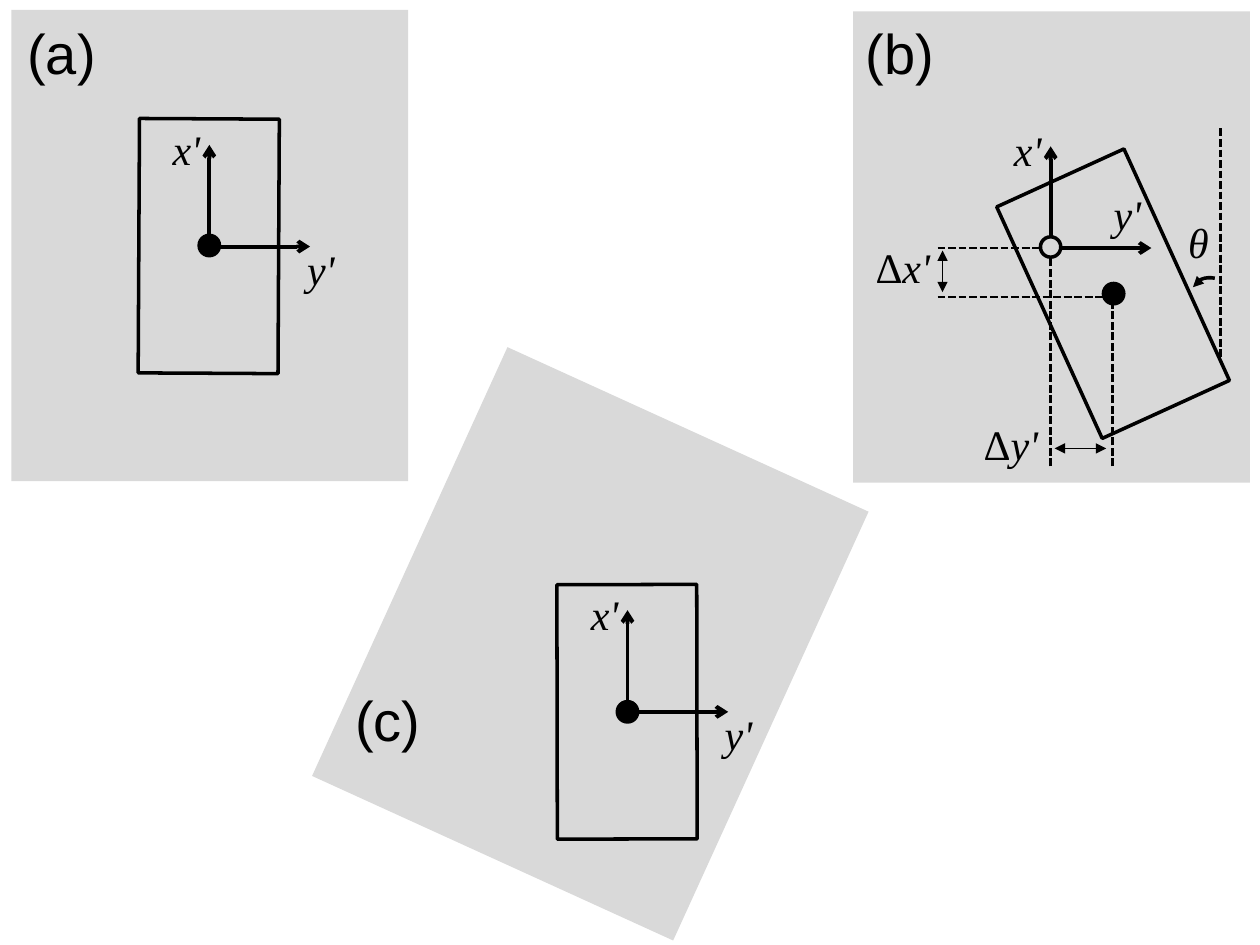
from lxml import etree
from pptx import Presentation
from pptx.dml.color import RGBColor
from pptx.enum.dml import MSO_LINE
from pptx.enum.shapes import MSO_CONNECTOR, MSO_SHAPE
from pptx.enum.text import MSO_AUTO_SIZE
from pptx.oxml.ns import qn
from pptx.util import Cm, Pt

BLACK = RGBColor(0x00, 0x00, 0x00)
GREY = RGBColor(0xD9, 0xD9, 0xD9)
RECTANGLE = MSO_SHAPE.RECTANGLE
OVAL = MSO_SHAPE.OVAL
STRAIGHT = MSO_CONNECTOR.STRAIGHT
DASHED = MSO_LINE.SQUARE_DOT  # written to the file as sysDash

PANEL_SIZE = (8.0, 9.5)
BODY_SIZE = (2.82, 5.13)
DOT_SIZE = (0.41, 0.41)
AXIS_LENGTH = 2.03

deck = Presentation()
deck.slide_width, deck.slide_height = Cm(25.4), Cm(19.05)
page = deck.slides.add_slide(deck.slide_layouts[6])


def add_centred(kind, centre, size, fill=None, outline=True, rotation=0):
    """Add a preset shape by its centre and size in centimetres."""
    (x, y), (width, height) = centre, size
    shape = page.shapes.add_shape(
        kind, Cm(x - width / 2), Cm(y - height / 2), Cm(width), Cm(height))
    shape.rotation = rotation
    shape.shadow.inherit = False
    if fill is None:
        shape.fill.background()
    else:
        shape.fill.solid()
        shape.fill.fore_color.rgb = fill
    if outline:
        shape.line.color.rgb = BLACK
        shape.line.width = Pt(2)
    else:
        shape.line.fill.background()


def add_arrowheads(shape, **ends):
    """Set line ends, such as tailEnd="arrow"; headEnd must come first."""
    outline = shape.line._get_or_add_ln()
    for end, kind in ends.items():
        etree.SubElement(outline, qn(f"a:{end}"), type=kind)


# Panels: centre and turn of the grey field, centre and turn of the body,
# origin of the axes, offset of the y' label from that origin
panels = [
    ((4.23, 4.95), 0, (4.21, 4.96), 0.3, (4.22, 4.95), (1.72, -0.17)),
    ((21.2, 4.98), 0, (22.44, 5.92), 335.5, (21.18, 4.98), (1.02, -1.3)),
    ((11.9, 12.98), 24.5, (12.64, 14.35), 359.9, (12.65, 14.33), (1.71, -0.17)),
]
lines = []   # start, end, width, dash, arrowheads
labels = []  # left, top, width, height, upright text, italic text, font, size
for field, field_turn, body, body_turn, (x, y), (label_dx, label_dy) in panels:
    add_centred(RECTANGLE, field, PANEL_SIZE, GREY, False, field_turn)
    add_centred(RECTANGLE, body, BODY_SIZE, rotation=body_turn)
    axis_style = (2.25, None, {"tailEnd": "arrow"})
    lines.append(((x, y), (x, y - AXIS_LENGTH), *axis_style))
    lines.append(((x, y + 0.02), (x + AXIS_LENGTH, y + 0.02), *axis_style))
    for dx, dy, name in [(-0.99, -2.59, "x'"), (label_dx, label_dy, "y'")]:
        labels.append((x + dx, y + dy, 1.07, 1.27, "", name, "Times New Roman", 24))

# Offsets and angle in panel (b)
guides = [
    ((18.9, 5.0), (21.18, 5.0)),
    ((18.9, 5.99), (22.4, 5.99)),
    ((21.18, 9.4), (21.18, 5.0)),
    ((22.43, 9.4), (22.43, 5.89)),
    ((24.61, 2.59), (24.61, 7.19)),
]
lines += [(start, end, 1.5, DASHED, {}) for start, end in guides]
both_ends = {"headEnd": "triangle", "tailEnd": "triangle"}
lines += [
    ((19.0, 5.05), (19.0, 5.89), 0.75, None, both_ends),
    ((22.3, 9.04), (21.26, 9.04), 0.75, None, both_ends),
]
for start, end, width, dash, arrowheads in lines:
    line = page.shapes.add_connector(STRAIGHT, *(Cm(v) for v in start + end))
    line.line.color.rgb = BLACK
    line.line.width = Pt(width)
    if dash is not None:
        line.line.dash_style = dash
    add_arrowheads(line, **arrowheads)
    etree.SubElement(line._element.spPr, qn("a:effectLst"))

# Angle arc, in hundredths of a centimetre, along a quadratic curve
arc_start, arc_bend, arc_end = (2449, 561), (2418, 556), (2405, 579)
arc_points = [
    tuple((1 - t) ** 2 * a + 2 * t * (1 - t) * b + t ** 2 * c
          for a, b, c in zip(arc_start, arc_bend, arc_end))
    for t in (step / 8 for step in range(1, 9))
]
builder = page.shapes.build_freeform(*arc_start, scale=Cm(0.01))
builder.add_line_segments(arc_points, close=False)
arc = builder.convert_to_shape()
arc.shadow.inherit = False
arc.fill.background()
arc.line.color.rgb = BLACK
arc.line.width = Pt(2)
add_arrowheads(arc, tailEnd="triangle")

# Body centres are solid; the displaced origin in (b) is open
for centre, fill in [((4.22, 4.95), BLACK), ((22.45, 5.92), BLACK),
                     ((12.65, 14.35), BLACK), ((21.18, 4.98), GREY)]:
    add_centred(OVAL, centre, DOT_SIZE, fill)

labels += [
    (17.4, 4.75, 1.63, 1.27, "Δ", "x'", "Times New Roman", 24),
    (19.58, 8.31, 1.63, 1.27, "Δ", "y'", "Times New Roman", 24),
    (23.7, 4.24, 0.94, 1.27, "", "θ", "Times New Roman", 24),
    (0.3, 0.25, 1.9, 1.63, "(a)", "", "Arial", 32),
    (17.2, 0.25, 1.9, 1.63, "(b)", "", "Arial", 32),
    (6.91, 13.69, 1.83, 1.63, "(c)", "", "Arial", 32),
]
for left, top, width, height, upright, italic, font_name, size in labels:
    box = page.shapes.add_textbox(Cm(left), Cm(top), Cm(width), Cm(height))
    box.text_frame.word_wrap = False
    box.text_frame.auto_size = MSO_AUTO_SIZE.SHAPE_TO_FIT_TEXT
    para = box.text_frame.paragraphs[0]
    para.font.name = font_name
    para.font.size = Pt(size)
    para.font.color.rgb = BLACK
    for text, is_italic in [(upright, False), (italic, True)]:
        if text:
            span = para.add_run()
            span.text = text
            span.font.italic = is_italic

deck.save("out.pptx")
